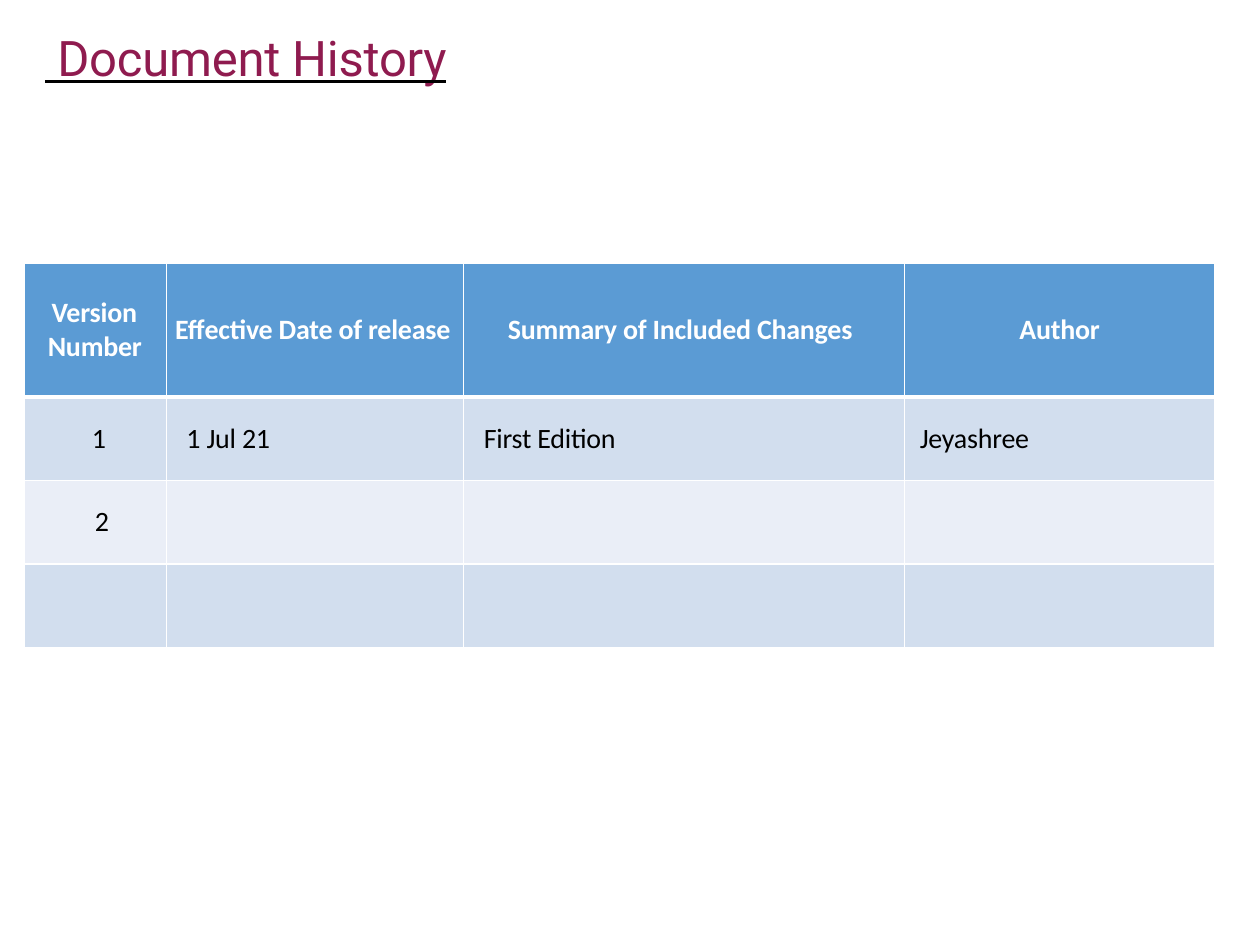
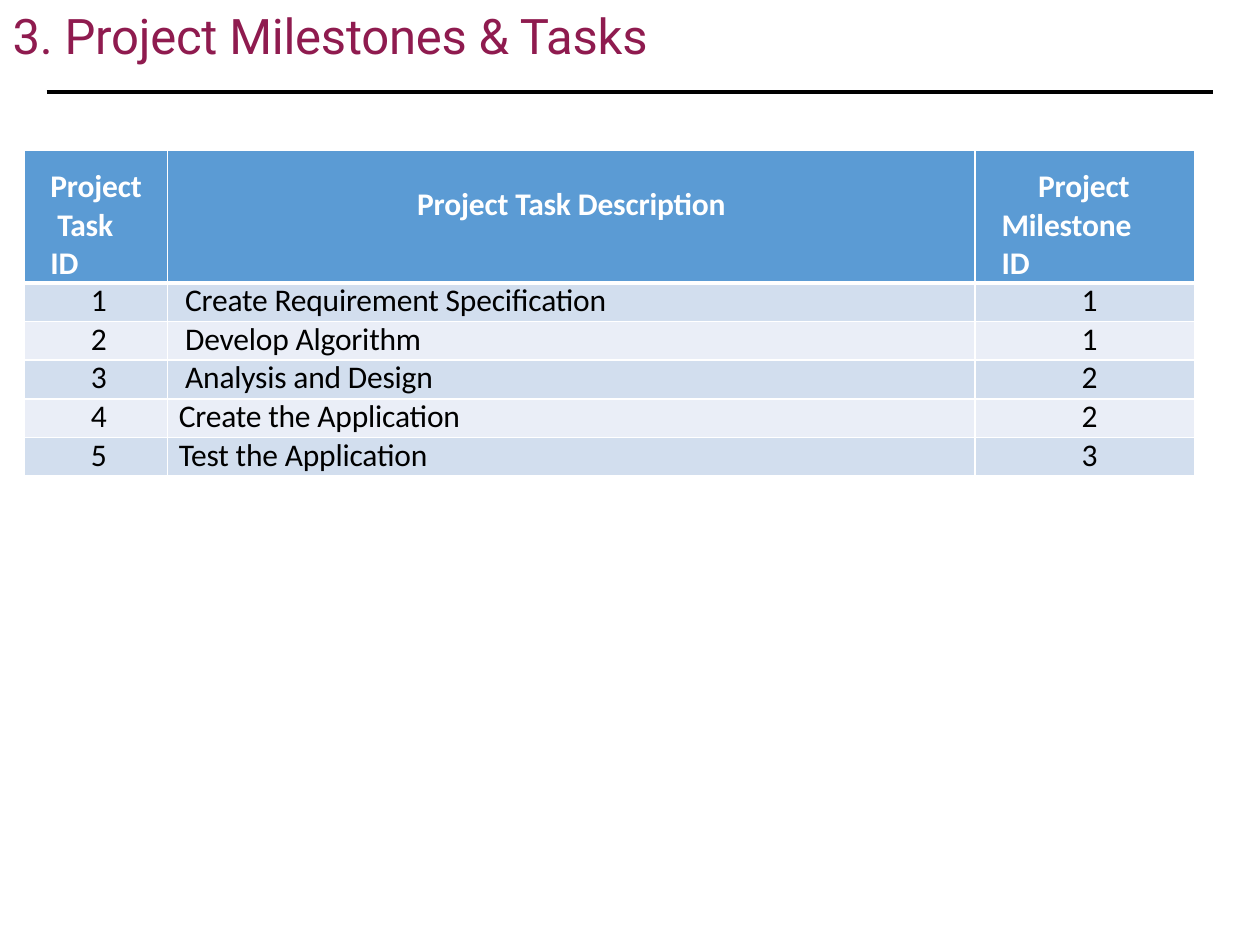
"""Build the document history and project milestone slides."""
from dataclasses import dataclass, field

from lxml.etree import SubElement as Sub
from pptx import Presentation
from pptx.dml.color import RGBColor as RGB
from pptx.enum.shapes import MSO_CONNECTOR as Link
from pptx.enum.text import MSO_ANCHOR as Anchor
from pptx.enum.text import MSO_AUTO_SIZE as Fit
from pptx.enum.text import MSO_UNDERLINE as Under
from pptx.enum.text import PP_ALIGN as Align
from pptx.oxml.ns import qn
from pptx.util import Inches, Pt

PLUM = RGB(0x8F, 0x1B, 0x4F)
BLACK = RGB(0x00, 0x00, 0x00)
WHITE = RGB(0xFF, 0xFF, 0xFF)
BLUE = RGB(0x5B, 0x9B, 0xD4)
BANDS = (RGB(0xD2, 0xDE, 0xEE), RGB(0xEA, 0xEE, 0xF7))
HEAD, BODY = "Roboto", "Calibri"
WIDE, TALL = Inches(10), Inches(7.5)
COLS = 100
UNIT = WIDE / COLS


@dataclass(frozen=True)
class Style:
    """Place of text in a cell, in grid units."""
    align: Align = Align.LEFT
    left: float = 0
    right: float = 0
    top: float = 0
    first: float = 0
    anchor: Anchor = Anchor.TOP
    pitch: float | None = None


@dataclass(frozen=True)
class Column:
    """A table column with its head and the texts below."""
    width: float
    head: str
    cap: Style
    body: Style
    items: list[str] = field(default_factory=list)
    tweaks: dict[int, Style] = field(default_factory=dict)


@dataclass(frozen=True)
class Grid:
    """A table with its place, row heights and text size."""
    top: float
    cap: float
    row: float
    count: int
    size: int
    cols: list[Column]


@dataclass(frozen=True)
class Title:
    """A slide title with its box."""
    text: str
    box: tuple[float, float, float, float]
    lined: bool = False


def units(n: float) -> int:
    """Turn grid units into a length."""
    return round(n * UNIT)


def paint(parent, tag: str, color: RGB) -> None:
    """Add a solid fill to an element under the given tag."""
    solid = Sub(parent, qn(tag))
    Sub(solid, qn("a:srgbClr")).set("val", str(color))


def write(para, text: str, font: str, size: int, color: RGB, bold: bool = False):
    """Add a formatted run and return it."""
    run = para.add_run()
    run.text = text
    run.font.name, run.font.size, run.font.bold = font, Pt(size), bold
    run.font.color.rgb = color
    run._r.get_or_add_rPr().set("spc", "-10")
    return run


def add_title(slide, title: Title) -> None:
    """Place and fill the title placeholder."""
    shape = slide.shapes.title
    shape.left, shape.top, shape.width, shape.height = map(units, title.box)
    frame = shape.text_frame
    frame.margin_left = frame.margin_top = units(0.1)
    frame.margin_right = frame.margin_bottom = 0
    frame.vertical_anchor = Anchor.TOP
    frame.word_wrap, frame.auto_size = title.lined, Fit.NONE
    para = frame.paragraphs[0]
    para.alignment = Align.LEFT
    run = write(para, title.text, HEAD, 28, PLUM)
    if title.lined:
        run.font.underline = Under.SINGLE_LINE
        props = run._r.get_or_add_rPr()
        ink = Sub(props, qn("a:uFill"))
        paint(ink, "a:solidFill", BLACK)
        props.find(qn("a:latin")).addprevious(ink)


def edge(cell, last: float, first: float) -> None:
    """Draw white borders around a cell, with top and bottom widths."""
    props = cell._tc.get_or_add_tcPr()
    sides = (("a:lnL", 1), ("a:lnR", 1), ("a:lnT", first), ("a:lnB", last))
    for i, (tag, width) in enumerate(sides):
        line = Sub(props, qn(tag))
        line.set("w", str(Pt(width)))
        paint(line, "a:solidFill", WHITE)
        props.insert(i, line)


def fill_cell(cell, text: str, style: Style, size: int, fill: RGB, head: bool) -> None:
    """Set the fill, margins and text of a cell."""
    cell.fill.solid()
    cell.fill.fore_color.rgb = fill
    cell.margin_left, cell.margin_right = units(style.left), units(style.right)
    cell.margin_top, cell.margin_bottom = units(style.top), 0
    cell.vertical_anchor = style.anchor
    if not text:
        return
    para = cell.text_frame.paragraphs[0]
    para.alignment = style.align
    if style.pitch:
        para.line_spacing = Pt(style.pitch)
    para._p.get_or_add_pPr().set("indent", str(units(style.first)))
    for i, part in enumerate(text.split("\v")):
        if i:
            para.add_line_break()
        write(para, part, BODY, size, WHITE if head else BLACK, head)


def add_grid(slide, grid: Grid) -> None:
    """Add a table with a blue head and banded rows."""
    width = sum(col.width for col in grid.cols)
    height = grid.cap + grid.row * grid.count
    table = slide.shapes.add_table(
        grid.count + 1, len(grid.cols), units(1.9), units(grid.top),
        units(width), units(height)).table
    table.horz_banding = False
    for r, row in enumerate(table.rows):
        row.height = units(grid.row if r else grid.cap)
    for c, col in enumerate(grid.cols):
        table.columns[c].width = units(col.width)
        blanks = [""] * (grid.count - len(col.items))
        for r, text in enumerate([col.head, *col.items, *blanks]):
            style = col.tweaks.get(r, col.body) if r else col.cap
            fill = BANDS[(r - 1) % 2] if r else BLUE
            cell = table.cell(r, c)
            fill_cell(cell, text, style, grid.size, fill, r == 0)
            edge(cell, 1 if r else 3, 3 if r == 1 else 1)


def add_rule(slide) -> None:
    """Draw the black rule below the title."""
    y = units(7.3)
    rule = slide.shapes.add_connector(
        Link.STRAIGHT, units(3.7), y, units(COLS - 3.7), y)
    rule.line.color.rgb, rule.line.width = BLACK, Pt(2)
    Sub(rule._element.spPr, qn("a:effectLst"))


def mid(left: float = 0, align: Align = Align.LEFT, first: float = 0) -> Style:
    """Give a style set in the middle of the cell height."""
    return Style(align, left, first=first, anchor=Anchor.MIDDLE)


def task(left: float = 0, align: Align = Align.LEFT, right: float = 0) -> Style:
    """Give a style for a task row."""
    return Style(align, left, right, pitch=21.1)


HISTORY = Grid(20.9, 10.6, 6.63, 3, 16, [
    Column(11.3, "Version Number", mid(1.9, first=0.3), mid(0.6, Align.CENTER),
           ["1", "2"], {2: mid(1.1, Align.CENTER)}),
    Column(23.6, "Effective Date of release", mid(0.7), mid(1.6), ["1 Jul 21"]),
    Column(35, "Summary of Included Changes", mid(3.5), mid(1.6),
           ["First Edition"]),
    Column(24.6, "Author", mid(0, Align.CENTER), mid(1.2), ["Jeyashree"]),
])

TASKS = Grid(11.9, 9.1, 3.07, 5, 18, [
    Column(11.4, "Project\v Task ID", Style(left=2.1, right=1.7, top=1.4),
           task(0.5, Align.CENTER), [str(n) for n in range(1, 6)]),
    Column(64.1, "Project Task Description", Style(Align.CENTER, top=2.8),
           task(1.4),
           ["Create Requirement Specification", "Develop Algorithm",
            "Analysis and Design", "Create the Application",
            "Test the Application"],
           {4: task(0.9), 5: task(0.9)}),
    Column(17.4, "Project Milestone ID",
           Style(left=2.1, right=2.9, top=1.4, first=2.9),
           task(0, Align.RIGHT, 7.7), ["1", "1", "2", "2", "3"]),
])


def main() -> None:
    """Build both slides and save them."""
    deck = Presentation()
    deck.slide_width, deck.slide_height = WIDE, TALL
    plain = deck.slide_layouts[5]

    past = deck.slides.add_slide(plain)
    add_title(past, Title(" Document History", (3.5, 2.1, 92.9, 4.9), True))
    add_grid(past, HISTORY)

    plan = deck.slides.add_slide(plain)
    add_rule(plan)
    add_title(plan, Title("3. Project Milestones & Tasks", (0.9, 0.3, 51, 4.9)))
    add_grid(plan, TASKS)
    deck.save("out.pptx")


if __name__ == "__main__":
    main()
